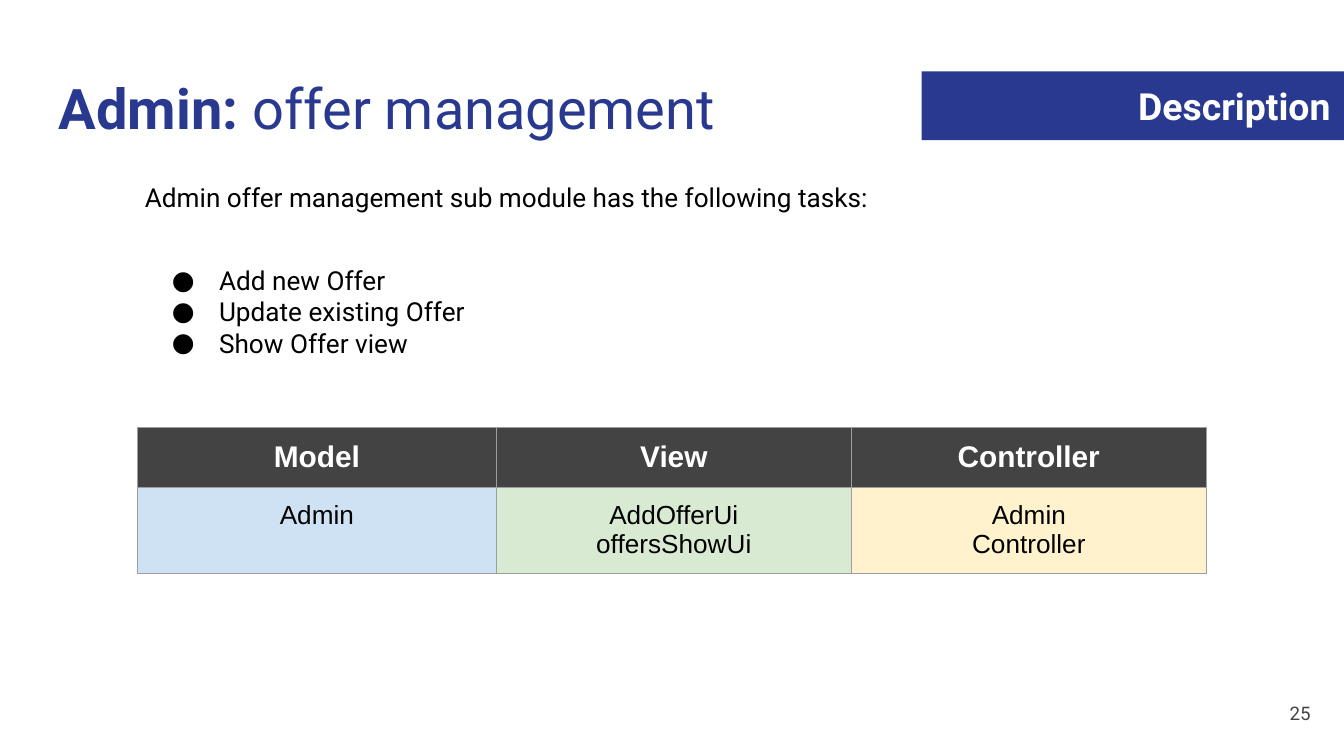
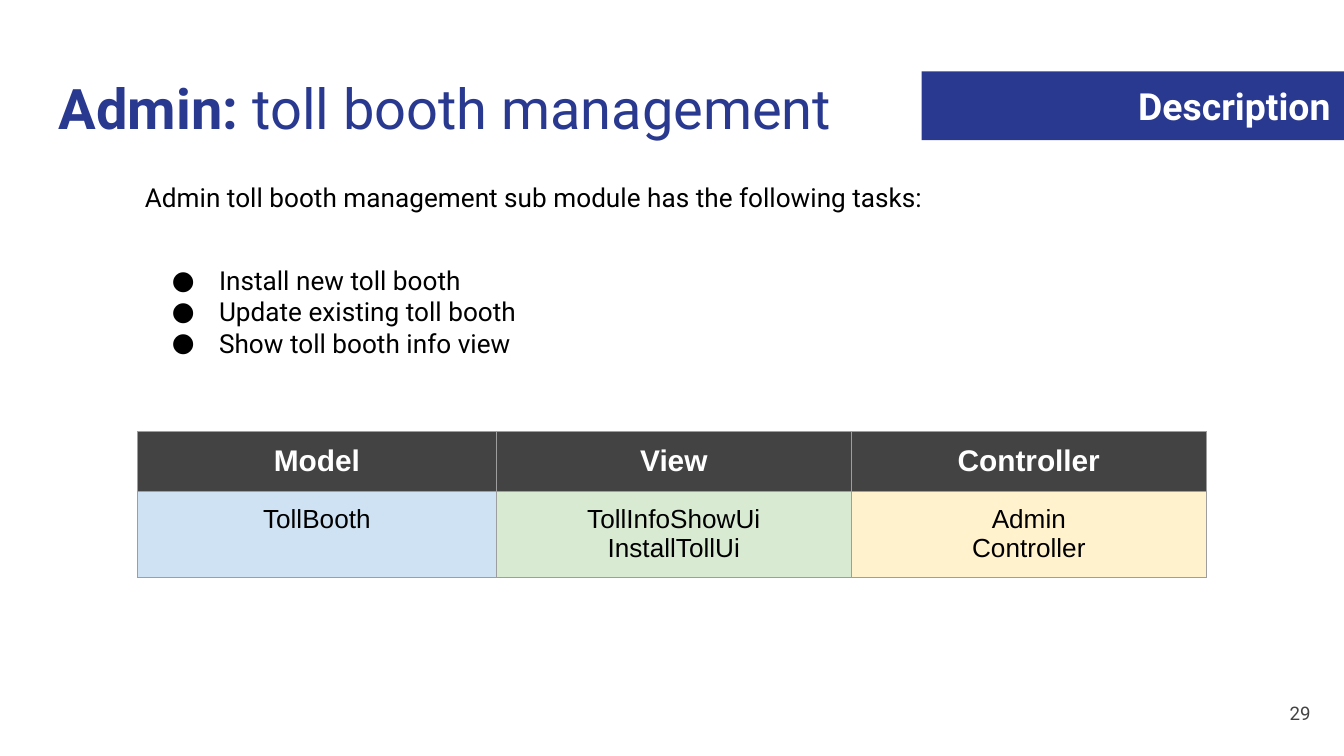
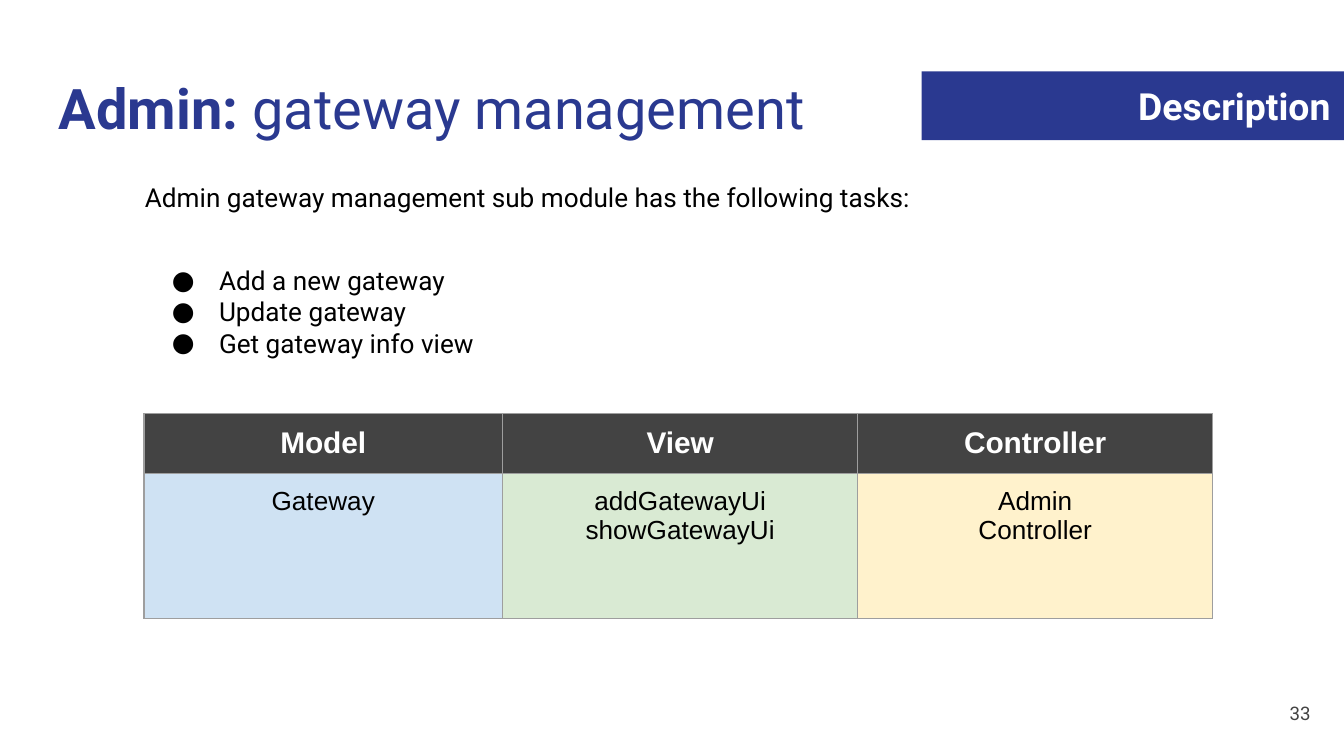
from lxml.etree import SubElement
from pptx import Presentation
from pptx.dml.color import RGBColor
from pptx.enum.shapes import MSO_SHAPE
from pptx.enum.text import MSO_ANCHOR, MSO_AUTO_SIZE, PP_ALIGN
from pptx.oxml.ns import qn
from pptx.util import Cm, Pt

# Shared style
NAVY = RGBColor(0x2A, 0x39, 0x90)
DARK = RGBColor(0x43, 0x43, 0x43)
GREY = RGBColor(0x9E, 0x9E, 0x9E)
BLACK = RGBColor(0x00, 0x00, 0x00)
WHITE = RGBColor(0xFF, 0xFF, 0xFF)
BLUE = RGBColor(0xCF, 0xE2, 0xF3)
GREEN = RGBColor(0xD9, 0xEA, 0xD3)
YELLOW = RGBColor(0xFF, 0xF2, 0xCC)
HEADING_FONT = "Roboto"
TABLE_FONT = "Arial"
INSET = Cm(0.25)
COLUMN_WIDTHS = (6.78, 6.71, 6.71)
HEADER_HEIGHT = 1.13
HEADERS = ("Model", "View", "Controller")
CELL_FILLS = (BLUE, GREEN, YELLOW)


class Deck:
    def __init__(self):
        self.prs = Presentation()
        self.prs.slide_width, self.prs.slide_height = Cm(25.4), Cm(14.29)
        self.s = None

    def new_slide(self):
        self.s = self.prs.slides.add_slide(self.prs.slide_layouts[5])

    def frame(self, tf, anchor=MSO_ANCHOR.TOP):
        tf.word_wrap = True
        tf.auto_size = MSO_AUTO_SIZE.NONE
        tf.vertical_anchor = anchor
        tf.margin_left = tf.margin_right = INSET
        tf.margin_top = tf.margin_bottom = INSET

    def format(self, tf, size, color, bold=False, align=PP_ALIGN.LEFT,
               font=HEADING_FONT):
        for p in tf.paragraphs:
            p.alignment = align
            for r in p.runs:
                r.font.name, r.font.size = font, Pt(size)
                r.font.bold, r.font.color.rgb = bold, color

    def title(self, lead, rest):
        sp = self.s.shapes.title
        sp.left, sp.top, sp.width, sp.height = Cm(0.86), Cm(1.14), Cm(23.67), Cm(1.68)
        tf = sp.text_frame
        self.frame(tf)
        p = tf.paragraphs[0]
        for part in (lead, rest):
            p.add_run().text = part
        self.format(tf, 30, NAVY)
        p.runs[0].font.bold = True

    def band(self, text):
        sp = self.s.shapes.add_shape(MSO_SHAPE.RECTANGLE, Cm(17.42), Cm(1.35),
                                     Cm(7.98), Cm(1.3))
        sp.shadow.inherit = False
        sp.fill.solid()
        sp.fill.fore_color.rgb = NAVY
        sp.line.fill.background()
        self.frame(sp.text_frame, MSO_ANCHOR.MIDDLE)
        sp.text_frame.text = text
        self.format(sp.text_frame, 20, WHITE, True, PP_ALIGN.RIGHT)

    def text(self, text, box, size=14, color=BLACK, align=PP_ALIGN.LEFT,
             anchor=MSO_ANCHOR.TOP):
        tf = self.s.shapes.add_textbox(*map(Cm, box)).text_frame
        self.frame(tf, anchor)
        tf.text = text
        self.format(tf, size, color, align=align)
        return tf

    def bullets(self, items, box):
        tf = self.text("\n".join(items), box)
        for p in tf.paragraphs:
            pPr = p._p.get_or_add_pPr()
            pPr.set("marL", str(Cm(1.27)))
            pPr.set("indent", str(-Cm(0.89)))
            SubElement(pPr, qn("a:buFont")).set("typeface", HEADING_FONT)
            SubElement(pPr, qn("a:buChar")).set("char", "●")

    def cell(self, cell, text, fill, size, color, bold):
        tcPr = cell._tc.get_or_add_tcPr()
        for side in ("lnL", "lnR", "lnT", "lnB"):
            ln = SubElement(tcPr, qn(f"a:{side}"), w=str(Pt(0.75)))
            line_fill = SubElement(ln, qn("a:solidFill"))
            SubElement(line_fill, qn("a:srgbClr"), val=str(GREY))
        cell.fill.solid()
        cell.fill.fore_color.rgb = fill
        cell.margin_left = cell.margin_right = INSET
        cell.margin_top = cell.margin_bottom = INSET
        cell.text_frame.text = text
        self.format(cell.text_frame, size, color, bold, PP_ALIGN.CENTER, TABLE_FONT)

    def table(self, values, left, top, body_height):
        table = self.s.shapes.add_table(
            2, len(HEADERS), Cm(left), Cm(top), Cm(sum(COLUMN_WIDTHS)),
            Cm(HEADER_HEIGHT + body_height)).table
        table.rows[0].height = Cm(HEADER_HEIGHT)
        table.rows[1].height = Cm(body_height)
        for i, (header, value) in enumerate(zip(HEADERS, values)):
            table.columns[i].width = Cm(COLUMN_WIDTHS[i])
            self.cell(table.cell(0, i), header, DARK, 16, WHITE, True)
            self.cell(table.cell(1, i), value, CELL_FILLS[i], 14, BLACK, False)

    def module_slide(self, module, tasks, model, views, number, table_box):
        self.new_slide()
        self.title("Admin:", f" {module} management")
        self.table((model, "\n".join(views), "Admin\vController"), *table_box)
        self.band("Description")
        self.text(f"Admin {module} management sub module has the following tasks:",
                  (2.49, 3.18, 20.4, 1.12))
        self.bullets(tasks, (2.62, 4.75, 10.08, 2.31))
        self.text(str(number), (23.5, 12.93, 1.52, 1.09), 10, DARK,
                  PP_ALIGN.RIGHT, MSO_ANCHOR.MIDDLE)


def main():
    deck = Deck()

    # Offers
    deck.module_slide(
        "offer", ("Add new Offer", "Update existing Offer", "Show Offer view"),
        "Admin", ("AddOfferUi", "offersShowUi"), 25, (2.6, 8.08, 1.63))

    # Toll booths
    deck.module_slide(
        "toll booth",
        ("Install new toll booth", "Update existing toll booth",
         "Show toll booth info view"),
        "TollBooth", ("TollInfoShowUi", "InstallTollUi"), 29, (2.6, 8.16, 1.63))

    # Gateways
    deck.module_slide(
        "gateway", ("Add a new gateway", "Update gateway", "Get gateway info view"),
        "Gateway", ("addGatewayUi", "showGatewayUi"), 33, (2.72, 7.82, 2.74))

    deck.prs.save("out.pptx")


if __name__ == "__main__":
    main()
